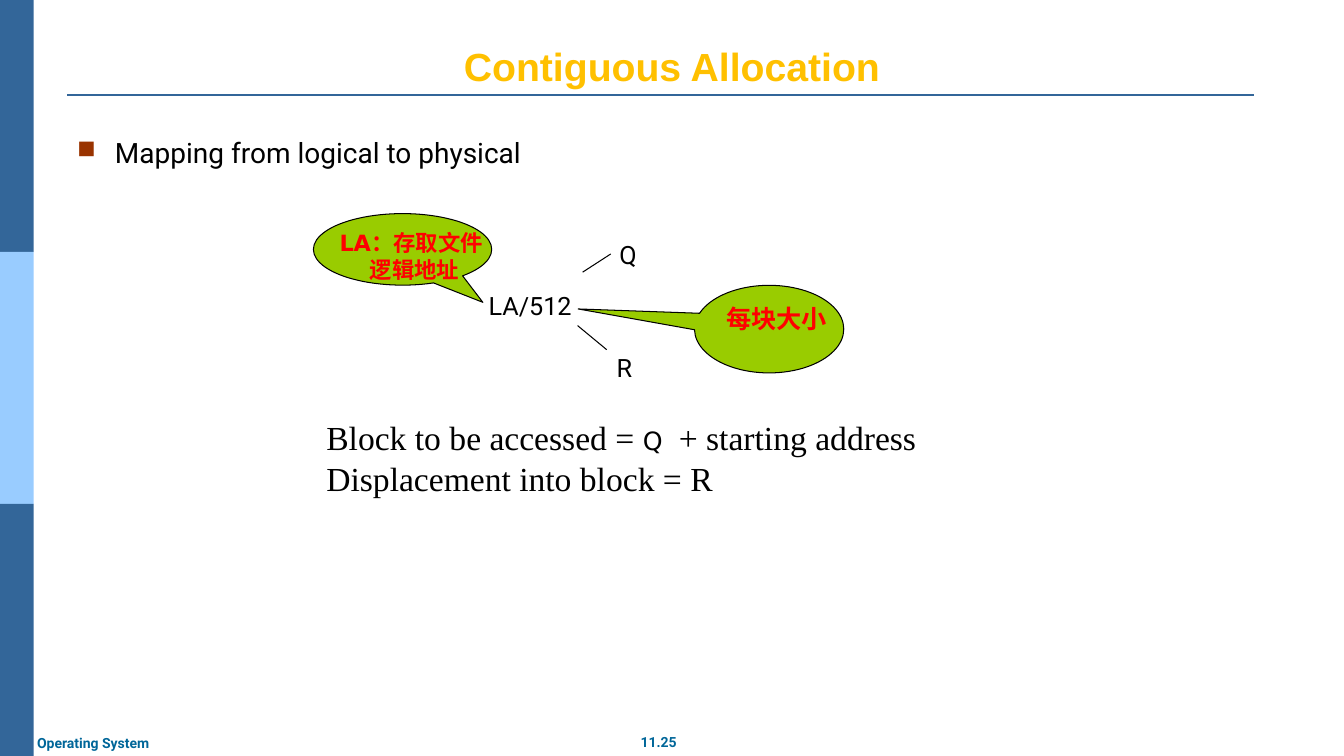
"""Build the Contiguous Allocation slide on mapping logical to physical addresses."""
from dataclasses import dataclass

from lxml.etree import SubElement
from pptx import Presentation
from pptx.dml.color import RGBColor as RGB
from pptx.enum.shapes import MSO_CONNECTOR as CONNECTOR, MSO_SHAPE as SHAPE
from pptx.enum.text import MSO_ANCHOR as ANCHOR, PP_ALIGN as ALIGN
from pptx.oxml.ns import qn
from pptx.util import Pt


@dataclass(frozen=True)
class Theme:
    navy: RGB = RGB(0x33, 0x66, 0x99)
    sky: RGB = RGB(0x99, 0xCC, 0xFF)
    footer: RGB = RGB(0x00, 0x66, 0x99)
    gold: RGB = RGB(0xFF, 0xC0, 0x00)
    black: RGB = RGB(0, 0, 0)
    green: RGB = RGB(0x99, 0xCC, 0x00)
    red: RGB = RGB(0xFF, 0, 0)
    bullet: str = "993300"
    heading: str = "Arial"
    body: str = "Roboto"
    formula: str = "Times New Roman"
    callout: str = "DejaVu Sans"
    footer_size: int = 10
    note_size: int = 16
    label_size: int = 18
    point_size: int = 20
    formula_size: int = 24
    title_size: int = 28


theme = Theme()
deck = Presentation()
deck.slide_width, deck.slide_height = Pt(960), Pt(540)
slide = deck.slides.add_slide(deck.slide_layouts[6])


def write(shape, lines, font, size, color, bold=False, align=ALIGN.LEFT,
          anchor=ANCHOR.TOP, wrap=True, bullet=None):
    frame = shape.text_frame
    frame.word_wrap, frame.vertical_anchor = wrap, anchor
    frame.text = "\n".join(lines)
    for paragraph in frame.paragraphs:
        if bullet:
            props = paragraph._p.get_or_add_pPr()
            props.set("marL", str(Pt(27)))
            props.set("indent", str(Pt(-27)))
            bullet_color = SubElement(props, qn("a:buClr"))
            SubElement(bullet_color, qn("a:srgbClr"), val=theme.bullet)
            SubElement(props, qn("a:buSzPct"), val="90000")
            SubElement(props, qn("a:buChar"), char=bullet)
        paragraph.alignment = align
        paragraph.font.name, paragraph.font.size = font, Pt(size)
        paragraph.font.bold = bold
        paragraph.font.color.rgb = color
    return frame.paragraphs


def draw_line(start, end, color, width):
    line = slide.shapes.add_connector(
        CONNECTOR.STRAIGHT, *map(Pt, start), *map(Pt, end))
    line.line.color.rgb, line.line.width = color, Pt(width)
    SubElement(line._element.spPr, qn("a:effectLst"))


for row, band_color in enumerate((theme.navy, theme.sky, theme.navy)):
    band = slide.shapes.add_shape(
        SHAPE.RECTANGLE, 0, Pt(180 * row), Pt(24), Pt(180))
    band.shadow.inherit = False
    band.fill.solid()
    band.fill.fore_color.rgb = band_color
    band.line.fill.background()

draw_line((48, 67.7), (896, 67.7), theme.navy, 1.5)

for text, place, align in (
    ("11.25", (450, 520.5, 41, 19.5), ALIGN.CENTER),
    ("Operating System", (19.4, 521.2, 101, 19.5), ALIGN.LEFT),
):
    footer = slide.shapes.add_textbox(*map(Pt, place))
    write(footer, [text], theme.body, theme.footer_size, theme.footer,
          bold=True, align=align, wrap=False)

title = slide.shapes.add_textbox(Pt(48), Pt(22), Pt(864), Pt(45.4))
write(title, ["Contiguous Allocation"], theme.heading, theme.title_size,
      theme.gold, bold=True, align=ALIGN.CENTER, anchor=ANCHOR.BOTTOM)

mapping = slide.shapes.add_textbox(Pt(48), Pt(93.2), Pt(864), Pt(356.4))
write(mapping, ["Mapping from logical to physical"], theme.body,
      theme.point_size, theme.black, bullet="■")

for text, left, top, width in (
    ("LA/512", 329, 203.8, 99.4),
    ("Q", 416.9, 167.4, 63.4),
    ("R", 421.2, 248, 49.7),
):
    label = slide.shapes.add_textbox(Pt(left), Pt(top), Pt(width), Pt(28.8))
    write(label, [text], theme.body, theme.label_size, theme.black,
          align=ALIGN.CENTER, anchor=ANCHOR.MIDDLE)

draw_line((416.2, 194.4), (436.3, 181.4), theme.black, 0.75)
draw_line((412.6, 232.6), (433.4, 249.8), theme.black, 0.75)

formulas = slide.shapes.add_textbox(Pt(190), Pt(294.5), Pt(553.7), Pt(64.8))
block, displacement = write(
    formulas, ["Block to be accessed = ", "Displacement into block = R"],
    theme.formula, theme.formula_size, theme.black)
quotient = block.add_run()
quotient.text = "Q "
quotient.font.name, quotient.font.size = theme.callout, Pt(theme.label_size)
quotient.font._element.set("spc", "290")
block.add_run().text = "+ starting address"
for formula in (block, displacement):
    formula._p.get_or_add_pPr().set("marL", str(Pt(36)))

for lines, place, tail, size, inset in (
    (["每块大小"], (496.1, 203.8, 106.6, 62.6), (-1.28, -0.23),
     theme.label_size, 7.2),
    (["LA：存取文件", "逻辑地址"], (223.9, 152.6, 127.4, 51.1),
     (0.45, 0.74), theme.note_size, 0),
):
    callout = slide.shapes.add_shape(SHAPE.OVAL_CALLOUT, *map(Pt, place))
    callout.shadow.inherit = False
    callout.adjustments[0], callout.adjustments[1] = tail
    callout.fill.solid()
    callout.fill.fore_color.rgb = theme.green
    callout.line.color.rgb, callout.line.width = theme.black, Pt(0.75)
    callout.text_frame.margin_left = Pt(inset)
    for number, paragraph in enumerate(write(
            callout, lines, theme.callout, size, theme.red,
            bold=True, wrap=False)):
        paragraph._p.pPr.set("marL", str(Pt(21.6 * number)))
        SubElement(paragraph._p.pPr.find(qn("a:defRPr")), qn("a:ea"),
                   typeface=theme.callout)

deck.save("out.pptx")
